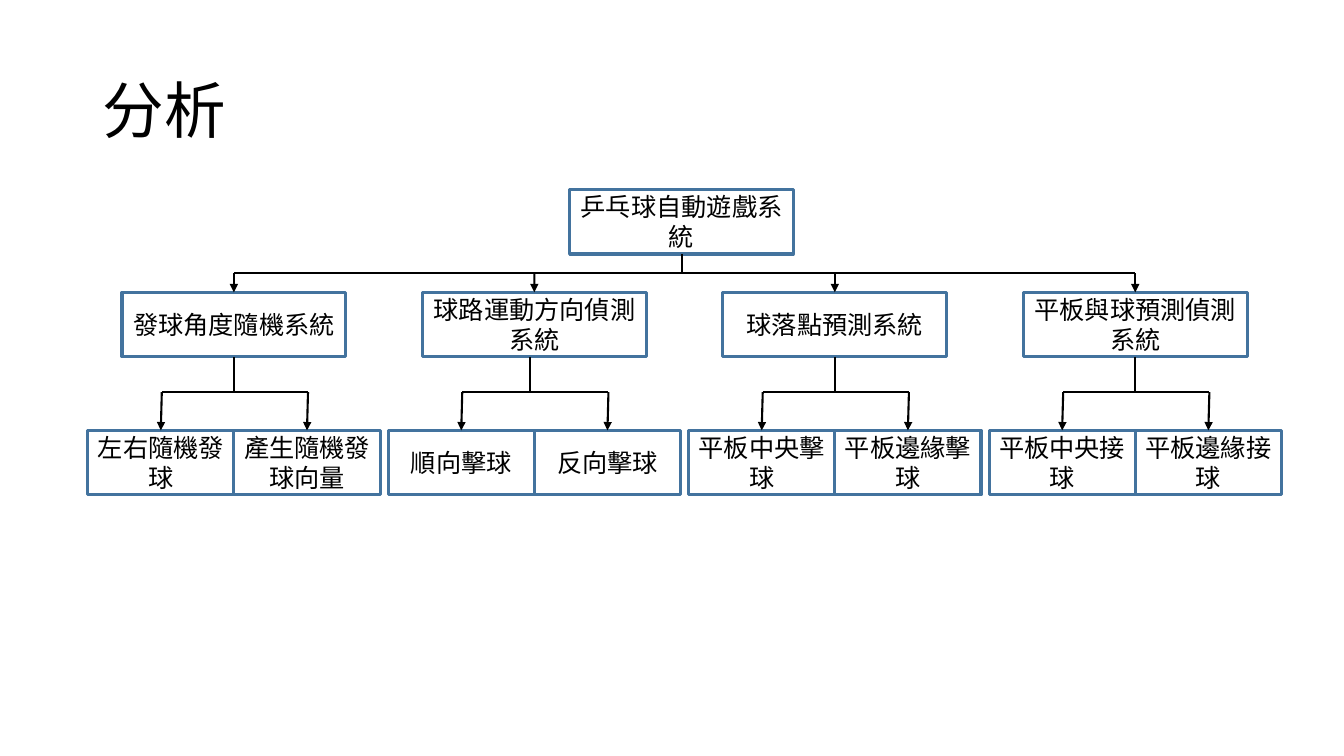
from pptx import Presentation
from pptx.dml.color import RGBColor as RGB
from pptx.enum.shapes import MSO_CONNECTOR as Conn, MSO_SHAPE as Shape
from pptx.enum.text import MSO_ANCHOR as Anchor, PP_ALIGN as Align
from pptx.oxml.ns import qn
from pptx.util import Inches, Pt
from lxml.etree import SubElement

# Content: system, its two parts, sideways shift of its stem
TITLE = "分析"
ROOT = "乒乓球自動遊戲系統"
GROUPS = [
    ("發球角度隨機系統", ("左右隨機發球", "產生隨機發球向量"), 0),
    ("球路運動方向偵測系統", ("順向擊球", "反向擊球"), -0.04),
    ("球落點預測系統", ("平板中央擊球", "平板邊緣擊球"), 0),
    ("平板與球預測偵測系統", ("平板中央接球", "平板邊緣接球"), 0),
]


class Theme:
    ink = RGB.from_string("000000")
    paper = RGB.from_string("FFFFFF")
    edge = RGB.from_string("43739E")
    latin = "TeX Gyre Adventor"
    han = "Noto Sans CJK TC"
    head, body = Pt(44), Pt(18)
    frame, wire = Pt(2.25), Pt(1.5)


# Layout in inches
BOX, LEAF, TALL = 2.22, 1.45, 0.64
FIRST, STEP = 2.32, 2.98
MID = 6.76
TOP, ROW, LOW = 1.88, 2.9, 4.27
BUS, FORK = 2.71, 3.89
LEAN = 0.01

deck = Presentation()
deck.slide_width, deck.slide_height = Inches(13.33), Inches(7.5)
slide = deck.slides.add_slide(deck.slide_layouts[6])


def write(shape, text, size, face, align):
    frame = shape.text_frame
    frame.word_wrap = True
    frame.vertical_anchor = Anchor.MIDDLE
    para = frame.paragraphs[0]
    para.text = text
    para.alignment = align
    font = para.font
    font.size, font.name = size, face
    font.color.rgb = Theme.ink
    props = para._p.pPr.find(qn("a:defRPr"))
    SubElement(props, qn("a:ea")).set("typeface", Theme.han)
    return para


def box(text, x, y, wide):
    shape = slide.shapes.add_shape(
        Shape.RECTANGLE, Inches(x), Inches(y), Inches(wide), Inches(TALL))
    shape.shadow.inherit = False
    shape.fill.solid()
    shape.fill.fore_color.rgb = Theme.paper
    shape.line.color.rgb = Theme.edge
    shape.line.width = Theme.frame
    write(shape, text, Theme.body, Theme.latin, Align.CENTER)
    return shape


def wire(x1, y1, x2, y2, start=None, end=None):
    """Draw a line; one that ends at a box gets an arrowhead."""
    line = slide.shapes.add_connector(
        Conn.STRAIGHT, Inches(x1), Inches(y1), Inches(x2), Inches(y2))
    line.line.color.rgb = Theme.ink
    line.line.width = Theme.wire
    if start is not None:
        line.begin_connect(start, 2)
    if end is not None:
        line.end_connect(end, 0)
        SubElement(line.line._get_or_add_ln(), qn("a:tailEnd")).set(
            "type", "triangle")
    SubElement(line._element.spPr, qn("a:effectLst"))


# Title
title = slide.shapes.add_textbox(
    Inches(0.92), Inches(0.4), Inches(11.5), Inches(1.45))
write(title, TITLE, Theme.head, Theme.han, Align.LEFT).line_spacing = 0.9

# Root and the bus below it
root = box(ROOT, MID - BOX / 2, TOP, BOX)
wire(MID, TOP + TALL, MID, BUS, start=root)
wire(FIRST, BUS, FIRST + STEP * (len(GROUPS) - 1), BUS)

# Systems, each forking into two parts
for i, (name, parts, shift) in enumerate(GROUPS):
    x = FIRST + STEP * i
    system = box(name, x - BOX / 2, ROW, BOX)
    wire(x, BUS, x, ROW, end=system)
    stem = x + shift
    wire(stem, ROW + TALL, stem, FORK, start=None if shift else system)
    ends = [x - LEAF / 2 + LEAN, x + LEAF / 2 + LEAN]
    wire(ends[0], FORK, ends[1], FORK)
    for j, part in enumerate(parts):
        leaf = box(part, x + LEAF * (j - 1), LOW, LEAF)
        wire(ends[j], FORK, ends[j] - LEAN, LOW, end=leaf)

deck.save("out.pptx")
